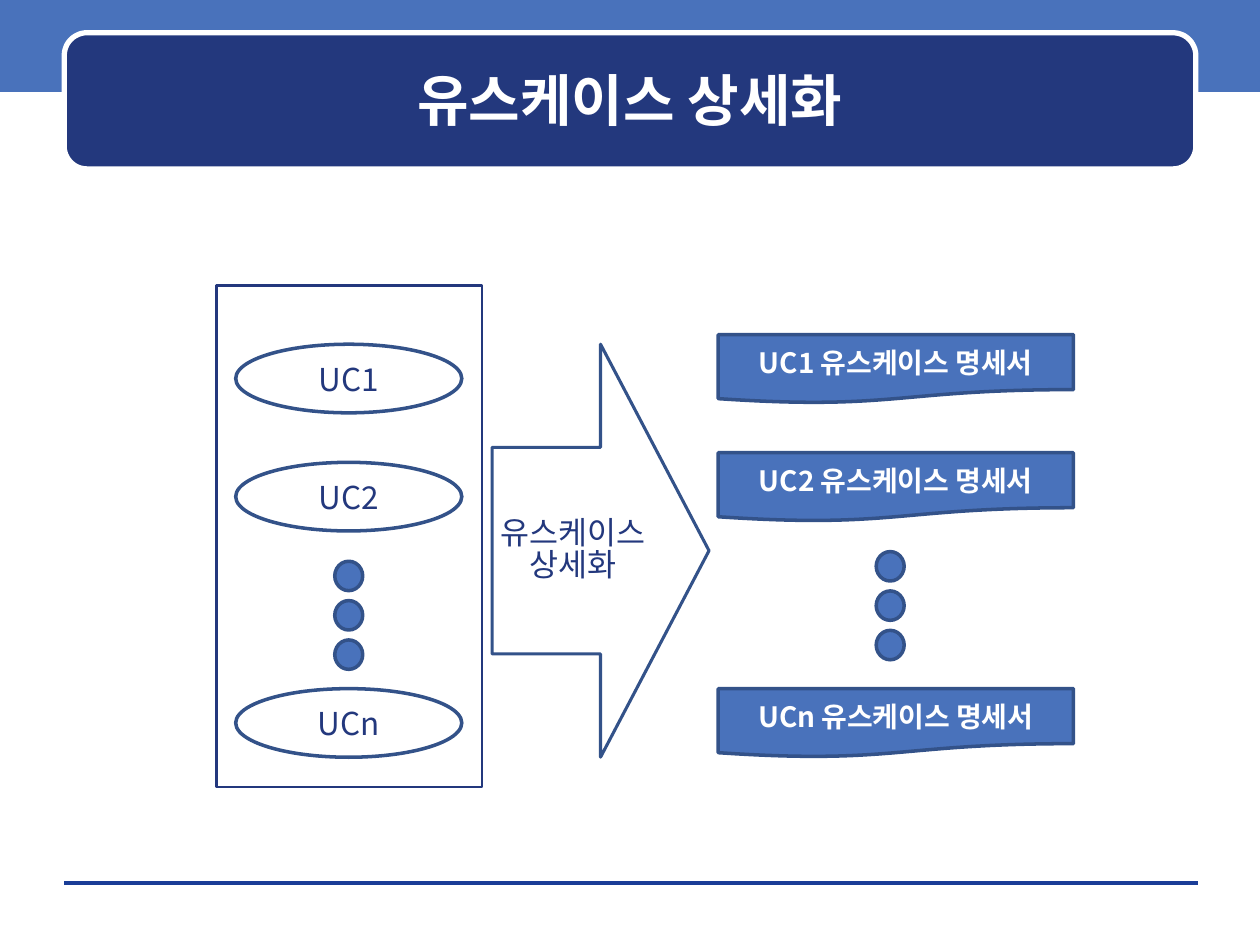
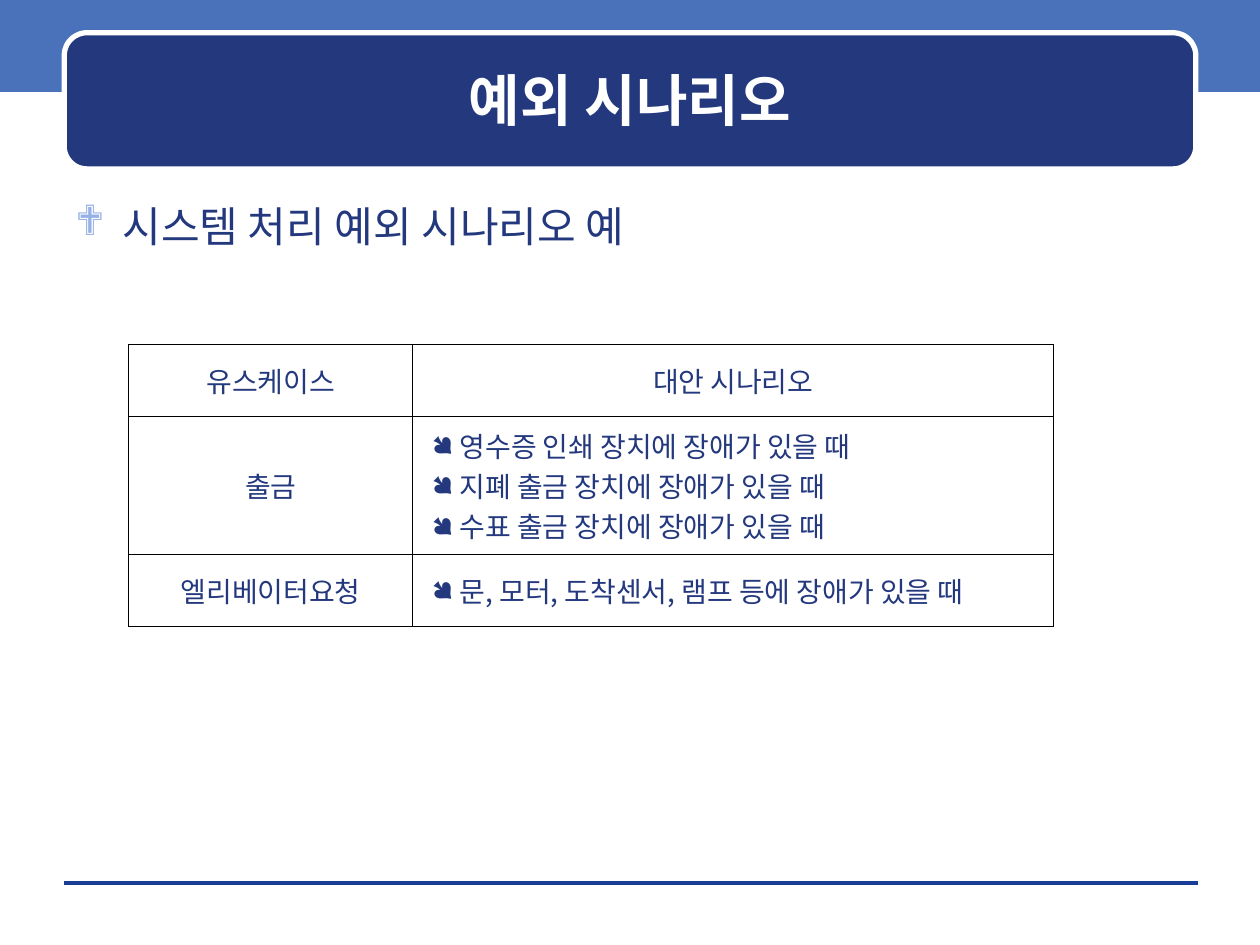
from lxml.etree import SubElement
from pptx import Presentation
from pptx.dml.color import RGBColor
from pptx.enum.shapes import MSO_CONNECTOR, MSO_SHAPE
from pptx.enum.text import MSO_ANCHOR, PP_ALIGN
from pptx.oxml.ns import qn
from pptx.util import Pt

FONT = "Noto Sans CJK KR"
NAVY, BLUE, EDGE = "23387D", "4972BB", "335289"
WHITE, BLACK, SKY, RULE = "FFFFFF", "000000", "96B1E6", "1A3D97"
TITLE = dict(size=Pt(32), bold=True, color=WHITE)
BODY = dict(size=Pt(24), bold=False, color=NAVY)
LABEL = dict(size=Pt(18), bold=False, color=NAVY)
DOCUMENT = dict(size=Pt(16), bold=True, color=WHITE)
CELL = dict(size=Pt(16), bold=False, color=NAVY)


def rgb(value):
    return RGBColor.from_string(value)


def add_bullet(p, char, color, indent):
    pPr = p._p.get_or_add_pPr()
    pPr.set("marL", str(Pt(indent)))
    pPr.set("indent", str(-Pt(indent)))
    fill = SubElement(pPr, qn("a:buClr"))
    SubElement(fill, qn("a:srgbClr"), val=color)
    SubElement(pPr, qn("a:buFont"), typeface="Wingdings")
    SubElement(pPr, qn("a:buChar"), char=char)


def write(tf, lines, style, align=PP_ALIGN.CENTER, bullet=None, spacing=None):
    for i, line in enumerate(lines):
        p = tf.add_paragraph() if i else tf.paragraphs[0]
        p.alignment = align
        if spacing:
            p.line_spacing = spacing
        if bullet:
            add_bullet(p, *bullet)
        r = p.add_run()
        r.text = line
        r.font.name = FONT
        for name, value in style.items():
            if name == "color":
                r.font.color.rgb = rgb(value)
            else:
                setattr(r.font, name, value)
        SubElement(r._r.get_or_add_rPr(), qn("a:ea"), typeface=FONT)


def set_frame(tf, side=7.2, anchor=MSO_ANCHOR.MIDDLE):
    frame = dict(word_wrap=True, vertical_anchor=anchor,
                 margin_left=Pt(side), margin_right=Pt(side),
                 margin_top=Pt(3.6), margin_bottom=Pt(3.6))
    for name, value in frame.items():
        setattr(tf, name, value)
    return tf


def add_shape(s, kind, box, fill=None, line=None, width=0):
    sp = s.shapes.add_shape(kind, *map(Pt, box))
    sp.shadow.inherit = False
    if fill:
        sp.fill.solid()
        sp.fill.fore_color.rgb = rgb(fill)
    else:
        sp.fill.background()
    if line:
        sp.line.color.rgb = rgb(line)
        sp.line.width = Pt(width)
    else:
        sp.line.fill.background()
    return sp


def add_text(s, box, lines, style, anchor=MSO_ANCHOR.MIDDLE, **options):
    sp = s.shapes.add_textbox(*map(Pt, box))
    write(set_frame(sp.text_frame, anchor=anchor), lines, style, **options)


def add_titled_slide(prs, title):
    s = prs.slides.add_slide(prs.slide_layouts[6])
    add_shape(s, MSO_SHAPE.RECTANGLE, (0, 0, 720, 52.5), BLUE)
    rule = s.shapes.add_connector(MSO_CONNECTOR.STRAIGHT,
                                  Pt(36.7), Pt(504.7), Pt(684.7), Pt(504.7))
    rule.line.color.rgb = rgb(RULE)
    rule.line.width = Pt(0)
    SubElement(rule._element.spPr, qn("a:effectLst"))
    add_shape(s, MSO_SHAPE.ROUNDED_RECTANGLE, (36.7, 18.7, 646.6, 77.8),
              NAVY, WHITE, 3)
    add_text(s, (43, 25.2, 634, 63.4), [title], TITLE)
    return s


def add_use_case_column(s, box, kind, labels, style, fill, side, dot_shift=0):
    x, y, w, h = box
    item_h, dot_w, dot_h = 39.2, 16, 16.8
    tops = (y, y + 67.5, y + h - item_h)
    for top, label in zip(tops, labels):
        sp = add_shape(s, kind, (x, top, w, item_h), fill, EDGE, 2)
        write(set_frame(sp.text_frame, side), [label], style)
    for i in range(3):
        dot = (x + (w - dot_w) / 2 + dot_shift, y + 124 + 22.5 * i, dot_w, dot_h)
        add_shape(s, MSO_SHAPE.OVAL, dot, BLUE, EDGE, 2)


def add_detailing_diagram(s, box):
    x, y, w, h = box
    names = ("UC1", "UC2", "UCn")
    add_shape(s, MSO_SHAPE.RECTANGLE, (x, y, 152, h), None, NAVY, 1.25)
    add_use_case_column(s, (x + 11, y + 33.5, 129.2, 236), MSO_SHAPE.OVAL,
                        names, LABEL, None, 0)
    arrow = add_shape(s, MSO_SHAPE.RIGHT_ARROW, (x + 157.5, y + 33.5, 124, 236),
                      None, EDGE, 1.75)
    write(set_frame(arrow.text_frame, 0), ["유스케이스", "상세화"], LABEL,
          spacing=0.85)
    add_use_case_column(s, (x + w - 203, y + 28, 203, 241.5),
                        MSO_SHAPE.FLOWCHART_DOCUMENT,
                        [f"{name} 유스케이스 명세서" for name in names],
                        DOCUMENT, BLUE, 7.2, -3.2)


def format_cell(cell):
    tcPr = cell._tc.get_or_add_tcPr()
    for tag in ("a:lnL", "a:lnR", "a:lnT", "a:lnB"):
        ln = SubElement(tcPr, qn(tag), w=str(Pt(0.45)))
        fill = SubElement(ln, qn("a:solidFill"))
        SubElement(fill, qn("a:srgbClr"), val=BLACK)
    cell.fill.background()
    margins = dict(margin_left=Pt(10.8), margin_right=Pt(10.8),
                   margin_top=Pt(3.6), margin_bottom=Pt(3.6),
                   vertical_anchor=MSO_ANCHOR.MIDDLE)
    for name, value in margins.items():
        setattr(cell, name, value)


def add_scenario_table(s, box, rows):
    x, y, w, h = box
    widths, heights = (162.4, w - 162.4), (41, h - 82, 41)
    table = s.shapes.add_table(len(rows), 2, *map(Pt, box)).table
    table.first_row = table.horz_banding = False
    for column, width in zip(table.columns, widths):
        column.width = Pt(width)
    for i, (use_case, scenarios) in enumerate(rows):
        table.rows[i].height = Pt(heights[i])
        for cell in table.rows[i].cells:
            format_cell(cell)
        write(table.cell(i, 0).text_frame, [use_case], CELL)
        listed = dict(align=PP_ALIGN.JUSTIFY, bullet=("●", NAVY, 16)) if i else {}
        write(table.cell(i, 1).text_frame, scenarios, CELL, **listed)


def main():
    prs = Presentation()
    prs.slide_width, prs.slide_height = Pt(720), Pt(540)

    s = add_titled_slide(prs, "유스케이스 상세화")
    add_detailing_diagram(s, (123.7, 163.2, 489.7, 286.6))

    s = add_titled_slide(prs, "예외 시나리오")
    add_text(s, (36, 111, 648, 384), ["시스템 처리 예외 시나리오 예"], BODY,
             anchor=MSO_ANCHOR.TOP, align=PP_ALIGN.LEFT, bullet=("❖", SKY, 27))
    add_scenario_table(s, (73.5, 196.8, 528.6, 161), [
        ("유스케이스", ["대안 시나리오"]),
        ("출금", ["영수증 인쇄 장치에 장애가 있을 때",
                "지폐 출금 장치에 장애가 있을 때",
                "수표 출금 장치에 장애가 있을 때"]),
        ("엘리베이터요청", ["문, 모터, 도착센서, 램프 등에 장애가 있을 때"]),
    ])
    prs.save("out.pptx")


if __name__ == "__main__":
    main()
